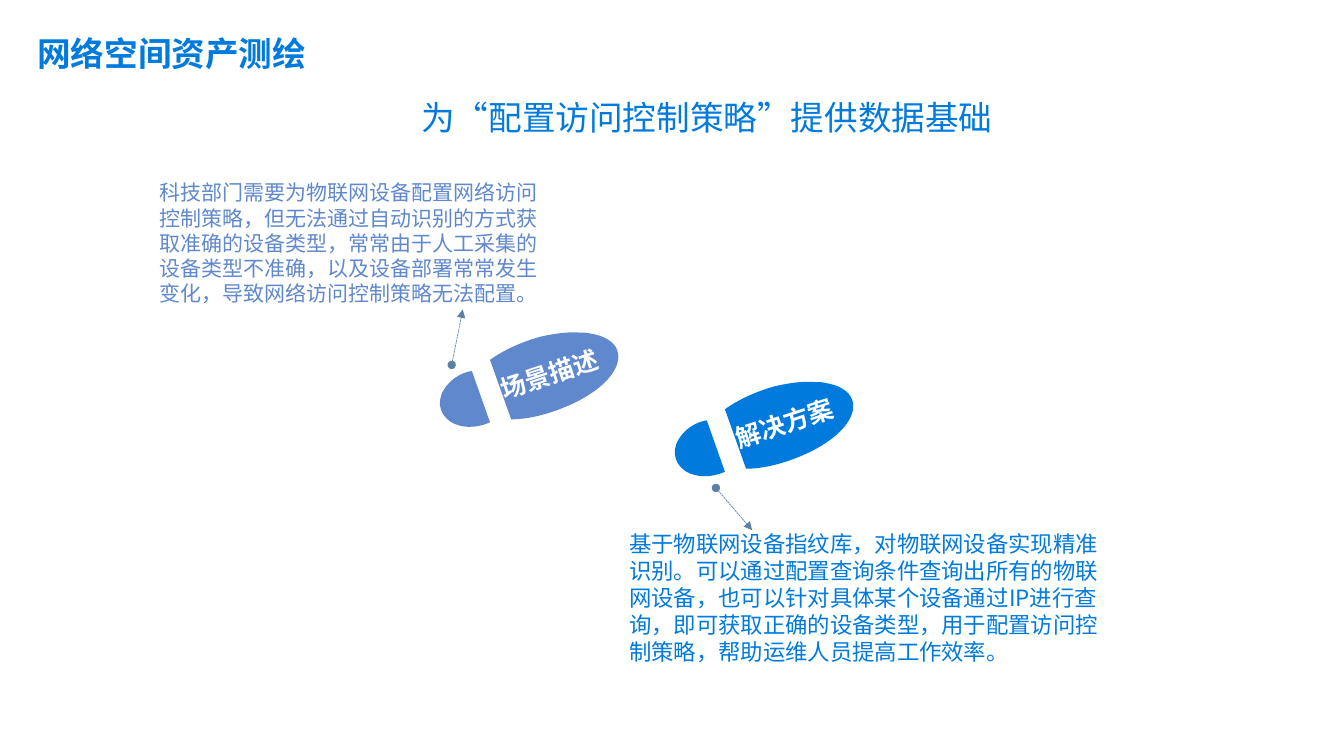
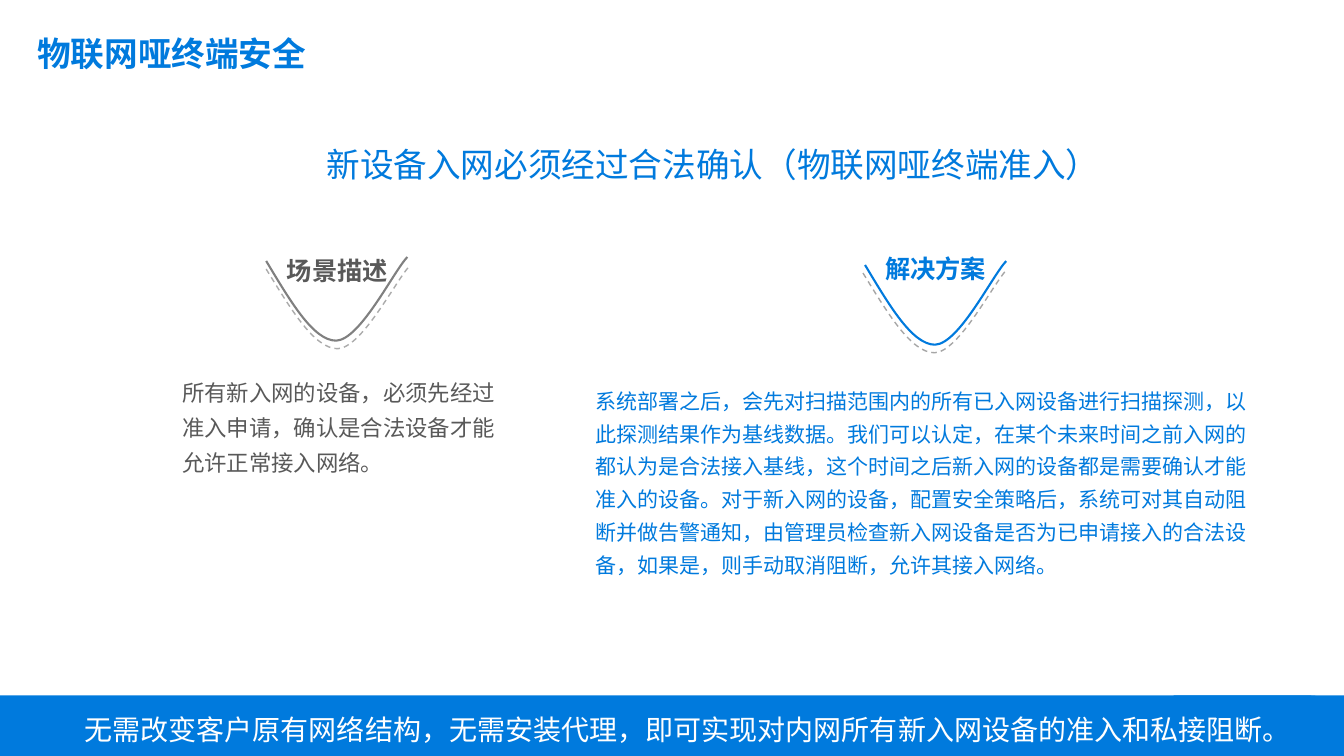
import math

import pptx
import pptx.dml.color
import pptx.enum.dml
import pptx.enum.lang
import pptx.enum.shapes
import pptx.enum.text
import pptx.oxml
import pptx.oxml.ns
import pptx.util
from pptx.util import Inches

BLUE = "007ADD"
SOFT_BLUE = "5F88CD"
STEEL = "5E80A5"
DARK_GREY = "595959"
WHITE = "FFFFFF"
CJK_FONT = "Noto Sans CJK SC"
NAMESPACE = pptx.oxml.ns.nsdecls("a")
ALIGN = pptx.enum.text.PP_ALIGN
ANCHOR = pptx.enum.text.MSO_ANCHOR
DASH = pptx.enum.dml.MSO_LINE
PRESET = pptx.enum.shapes.MSO_SHAPE
rgb = pptx.dml.color.RGBColor.from_string


def write_text(shape, text, size=16, color=BLUE, font=CJK_FONT, bold=False, align=ALIGN.LEFT,
               anchor=ANCHOR.TOP, spacing=None, insets=(0.1, 0.05, 0.1, 0.05), wrap=True, grow=False):
    frame = shape.text_frame
    frame.word_wrap = wrap
    frame.vertical_anchor = anchor
    if grow:
        frame.auto_size = pptx.enum.text.MSO_AUTO_SIZE.SHAPE_TO_FIT_TEXT
    frame.margin_left, frame.margin_top, frame.margin_right, frame.margin_bottom = map(Inches, insets)
    paragraph = frame.paragraphs[0]
    paragraph.alignment = align
    if spacing:
        paragraph.line_spacing = spacing
    run = paragraph.add_run()
    run.text = text
    run.font.size = pptx.util.Pt(size)
    run.font.bold = bold
    run.font.color.rgb = rgb(color)
    run.font.name = font
    run.font.language_id = pptx.enum.lang.MSO_LANGUAGE_ID.SIMPLIFIED_CHINESE
    run.font._element.append(pptx.oxml.parse_xml(f'<a:ea {NAMESPACE} typeface="{CJK_FONT}"/>'))


def draw_outline(slide, contours, design_size, box, closed=False):
    builder = slide.shapes.build_freeform(0, 0)
    builder.add_line_segments([(Inches(1), Inches(1))], close=closed)
    shape = builder.convert_to_shape()
    shape.left, shape.top, shape.width, shape.height = map(Inches, box)
    shape.shadow.inherit = False
    outline = shape._element.xpath(".//a:path")[0]
    outline.set("w", str(Inches(design_size[0])))
    outline.set("h", str(Inches(design_size[1])))
    for child in list(outline):
        outline.remove(child)
    for contour in contours:
        for index, points in enumerate(contour):
            tag = "moveTo" if index == 0 else {1: "lnTo", 3: "cubicBezTo"}[len(points)]
            marks = "".join(f'<a:pt x="{Inches(x)}" y="{Inches(y)}"/>' for x, y in points)
            outline.append(pptx.oxml.parse_xml(f"<a:{tag} {NAMESPACE}>{marks}</a:{tag}>"))
        if closed:
            outline.append(pptx.oxml.parse_xml(f"<a:close {NAMESPACE}/>"))
    return shape


presentation = pptx.Presentation()
presentation.slide_width = Inches(13.33)
presentation.slide_height = Inches(7.5)

layout = presentation.slide_layouts[5]
layout_title = layout.placeholders[0]
layout_title.left, layout_title.top = Inches(0.27), Inches(0.28)
layout_title.width, layout_title.height = Inches(10.89), Inches(0.5)

slides = []
for title, subtitle, subtitle_box in [
    ("网络空间资产测绘", "为“配置访问控制策略”提供数据基础", (4.08, 0.91, 5.87, 0.5)),
    ("物联网哑终端安全", "新设备入网必须经过合法确认（物联网哑终端准入）", (3.14, 1.38, 7.87, 0.5)),
]:
    slide = presentation.slides.add_slide(layout)
    write_text(slide.shapes.title, title, size=24, bold=True, grow=True)
    subtitle_shape = slide.shapes.add_textbox(*map(Inches, subtitle_box))
    write_text(subtitle_shape, subtitle, size=24, font="Arial", wrap=False, grow=True)
    slides.append(slide)
mapping_slide, terminal_slide = slides

capsule_size = (1.85, 0.75)
capsule_angle = -18.2
tilted_capsule = [
    [[(0.36, 0.28)], [(0.54, 0.79)], [(0.43, 0.84), (0.3, 0.85), (0.2, 0.81)],
     [(0.05, 0.75), (0, 0.6), (0.08, 0.47)], [(0.14, 0.37), (0.24, 0.3), (0.36, 0.28)]],
    [[(1.43, -0.1)], [(1.47, -0.1), (1.5, -0.1), (1.54, -0.09)],
     [(1.67, -0.07), (1.77, -0.01), (1.8, 0.07)], [(1.87, 0.25), (1.65, 0.49), (1.28, 0.64)],
     [(1.11, 0.71), (0.92, 0.76), (0.75, 0.76)], [(0.54, 0.17)],
     [(0.68, 0.07), (0.86, -0.01), (1.04, -0.06)], [(1.18, -0.09), (1.31, -0.11), (1.43, -0.1)]],
]
cosine = math.cos(math.radians(-capsule_angle))
sine = math.sin(math.radians(-capsule_angle))
middle_x, middle_y = capsule_size[0] / 2, capsule_size[1] / 2
capsule = [
    [[(middle_x + (x - middle_x) * cosine - (y - middle_y) * sine,
       middle_y + (x - middle_x) * sine + (y - middle_y) * cosine) for x, y in points]
     for points in contour]
    for contour in tilted_capsule
]
for label, color, corner, arrow, text_box, size, text in [
    ("场景描述", SOFT_BLUE, (4.32, 3.4), (4.48, 3.62, 4.59, 3.07), (1.58, 1.93, 3.94, 0.96), 15,
     "科技部门需要为物联网设备配置网络访问控制策略，但无法通过自动识别的方式获取准确的设备类型，"
     "常常由于人工采集的设备类型不准确，以及设备部署常常发生变化，导致网络访问控制策略无法配置。"),
    ("解决方案", BLUE, (6.65, 3.89), (7.1, 4.84, 7.46, 5.26), (6.24, 5.45, 4.71, 0.96), 16,
     "基于物联网设备指纹库，对物联网设备实现精准识别。可以通过配置查询条件查询出所有的物联网设备，"
     "也可以针对具体某个设备通过IP进行查询，即可获取正确的设备类型，用于配置访问控制策略，"
     "帮助运维人员提高工作效率。"),
]:
    shape = draw_outline(mapping_slide, capsule, capsule_size, corner + capsule_size, closed=True)
    shape.rotation = capsule_angle
    shape.fill.solid()
    shape.fill.fore_color.rgb = rgb(color)
    shape.line.fill.background()
    write_text(shape, label, size=18, color=WHITE, bold=True, align=ALIGN.CENTER,
               anchor=ANCHOR.MIDDLE, insets=(0.43, 0, 0, 0))

    connector = mapping_slide.shapes.add_connector(
        pptx.enum.shapes.MSO_CONNECTOR.STRAIGHT, *map(Inches, arrow))
    connector.line.color.rgb = rgb(STEEL)
    connector.line.width = pptx.util.Pt(0.5)
    connector.line.dash_style = DASH.SQUARE_DOT
    line_element = connector.line._get_or_add_ln()
    for tag, kind in [("headEnd", "oval"), ("tailEnd", "triangle")]:
        line_element.append(pptx.oxml.parse_xml(f'<a:{tag} {NAMESPACE} type="{kind}"/>'))
    connector._element.spPr.append(pptx.oxml.parse_xml(f"<a:effectLst {NAMESPACE}/>"))

    body = mapping_slide.shapes.add_textbox(*map(Inches, text_box))
    write_text(body, text, size=size, color=color, anchor=ANCHOR.MIDDLE, insets=(0, 0, 0, 0))

valley_size = (1.41, 0.84)
valley = [[[(0, 0.04)], [(0.24, 0.44), (0.47, 0.84), (0.7, 0.84)],
           [(0.94, 0.83), (1.27, 0.15), (1.41, 0)]]]
for label, color, curves, label_box, text_box, size, text in [
    ("场景描述", DARK_GREY, [(2.64, 2.55, "808080"), (2.64, 2.63, "ACACAC")],
     (2.74, 2.39, 1.21, 0.99), (1.71, 3.63, 3.33, 2.07), 16,
     "所有新入网的设备，必须先经过准入申请，确认是合法设备才能允许正常接入网络。"),
    ("解决方案", BLUE, [(8.58, 2.59, BLUE), (8.56, 2.67, "A6A6A6")],
     (8.67, 2.37, 1.22, 1.05), (5.81, 3.73, 6.67, 1.96), 15,
     "系统部署之后，会先对扫描范围内的所有已入网设备进行扫描探测，以此探测结果作为基线数据。"
     "我们可以认定，在某个未来时间之前入网的都认为是合法接入基线，这个时间之后新入网的设备都是需要确认才能准入的设备。"
     "对于新入网的设备，配置安全策略后，系统可对其自动阻断并做告警通知，"
     "由管理员检查新入网设备是否为已申请接入的合法设备，如果是，则手动取消阻断，允许其接入网络。"),
]:
    for (left, top, line_color), (weight, dash, width) in zip(
            curves, [(1.5, DASH.SOLID, 1.4), (1, DASH.DASH, 1.43)]):
        shape = draw_outline(terminal_slide, valley, valley_size, (left, top, width, 0.83))
        shape.fill.background()
        shape.line.color.rgb = rgb(line_color)
        shape.line.width = pptx.util.Pt(weight)
        shape.line.dash_style = dash
    heading = terminal_slide.shapes.add_textbox(*map(Inches, label_box))
    write_text(heading, label, size=18, color=color, bold=True, align=ALIGN.CENTER, spacing=1.3)
    body = terminal_slide.shapes.add_textbox(*map(Inches, text_box))
    write_text(body, text, size=size, color=color, spacing=1.3)

rounded_band = terminal_slide.shapes.add_shape(
    PRESET.ROUND_2_SAME_RECTANGLE, *map(Inches, (6.33, 0.57, 0.67, 13.33)))
rounded_band.rotation = 90
rounded_band.adjustments[0] = 0.49
rounded_band.adjustments[1] = 0
band_end = terminal_slide.shapes.add_shape(PRESET.RECTANGLE, *map(Inches, (11.64, 6.9, 1.7, 0.67)))
for band in (rounded_band, band_end):
    band.shadow.inherit = False
    band.fill.solid()
    band.fill.fore_color.rgb = rgb(BLUE)
    band.line.fill.background()
summary = terminal_slide.shapes.add_textbox(*map(Inches, (0.74, 7.02, 12.14, 0.44)))
write_text(summary, "无需改变客户原有网络结构，无需安装代理，即可实现对内网所有新入网设备的准入和私接阻断。",
           size=20, color=WHITE, wrap=False, grow=True)

presentation.save("out.pptx")
